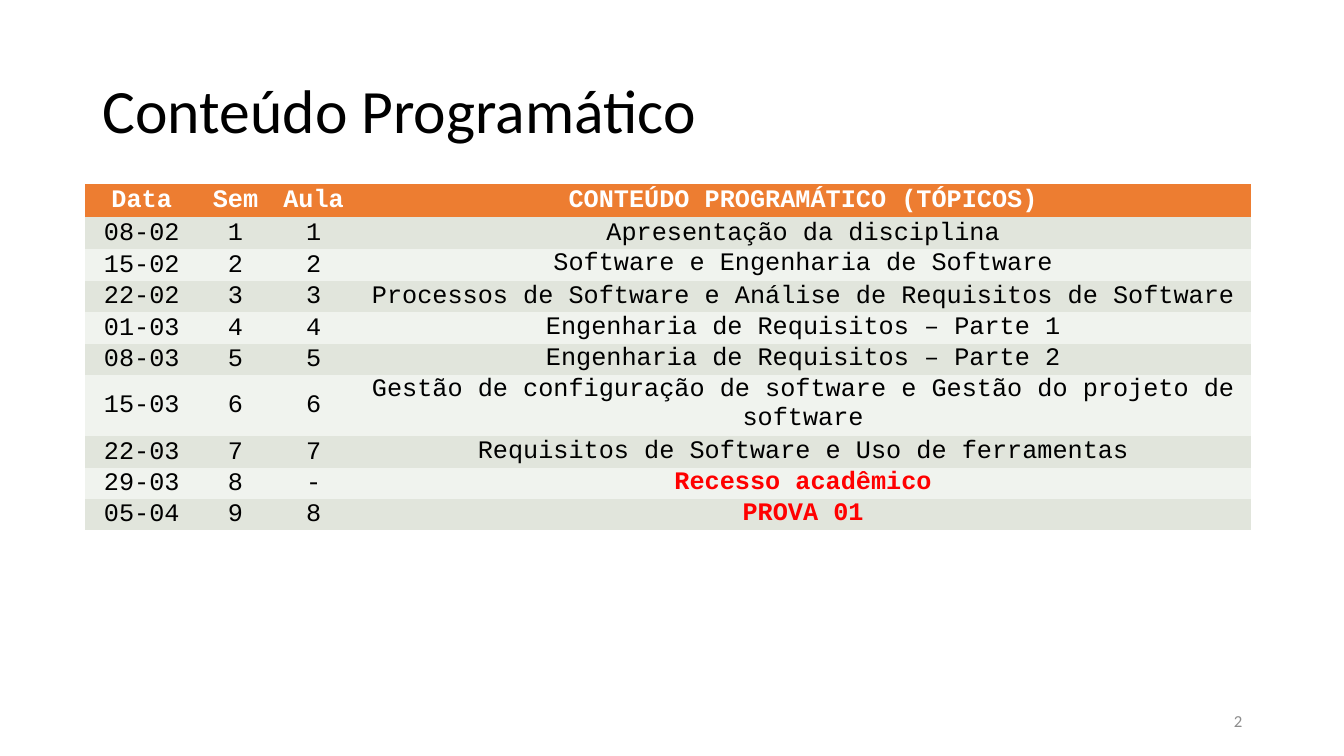
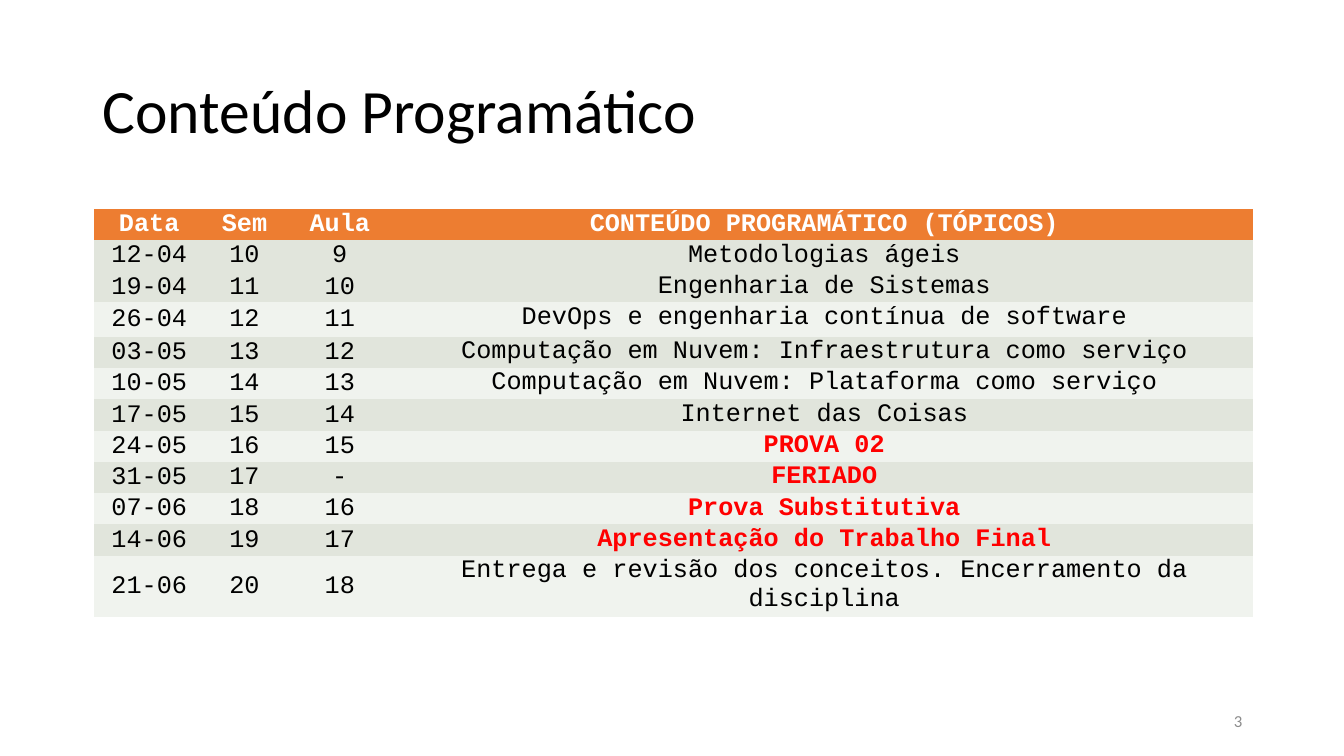
from pptx import Presentation
from pptx.dml.color import RGBColor
from pptx.enum.text import MSO_ANCHOR, PP_ALIGN
from pptx.oxml.ns import qn
from pptx.util import Inches, Pt

LEFT, CENTER, RIGHT = PP_ALIGN.LEFT, PP_ALIGN.CENTER, PP_ALIGN.RIGHT
TOP, MIDDLE = MSO_ANCHOR.TOP, MSO_ANCHOR.MIDDLE
BLACK = RGBColor(0x00, 0x00, 0x00)
WHITE = RGBColor(0xFF, 0xFF, 0xFF)
RED = RGBColor(0xFF, 0x00, 0x00)
GRAY = RGBColor(0x8C, 0x8C, 0x8C)
ORANGE = RGBColor(0xED, 0x7D, 0x31)
DARK_BAND = RGBColor(0xE1, 0xE5, 0xDC)
LIGHT_BAND = RGBColor(0xF0, 0xF3, 0xEE)
NO_GRID_STYLE = "{2D5ABB26-0587-4C30-8999-92F81FD0307C}"

TITLE = "Conteúdo Programático"
HEADER = ("Data", "Sem", "Aula", "CONTEÚDO PROGRAMÁTICO (TÓPICOS)")
HIGHLIGHTS = {
    "Recesso acadêmico",
    "PROVA 01",
    "PROVA 02",
    "FERIADO",
    "Prova Substitutiva",
    "Apresentação do Trabalho Final",
}
ROW_HEIGHT = 0.29
TWO_LINE_HEIGHT = 0.57

FIRST_HALF = [
    ("08-02", "1", "1", "Apresentação da disciplina"),
    ("15-02", "2", "2", "Software e Engenharia de Software"),
    ("22-02", "3", "3", "Processos de Software e Análise de Requisitos de Software"),
    ("01-03", "4", "4", "Engenharia de Requisitos – Parte 1"),
    ("08-03", "5", "5", "Engenharia de Requisitos – Parte 2"),
    ("15-03", "6", "6", "Gestão de configuração de software e Gestão do projeto de software"),
    ("22-03", "7", "7", "Requisitos de Software e Uso de ferramentas"),
    ("29-03", "8", "-", "Recesso acadêmico"),
    ("05-04", "9", "8", "PROVA 01"),
]
SECOND_HALF = [
    ("12-04", "10", "9", "Metodologias ágeis"),
    ("19-04", "11", "10", "Engenharia de Sistemas"),
    ("26-04", "12", "11", "DevOps e engenharia contínua de software"),
    ("03-05", "13", "12", "Computação em Nuvem: Infraestrutura como serviço"),
    ("10-05", "14", "13", "Computação em Nuvem: Plataforma como serviço"),
    ("17-05", "15", "14", "Internet das Coisas"),
    ("24-05", "16", "15", "PROVA 02"),
    ("31-05", "17", "-", "FERIADO"),
    ("07-06", "18", "16", "Prova Substitutiva"),
    ("14-06", "19", "17", "Apresentação do Trabalho Final"),
    ("21-06", "20", "18", "Entrega e revisão dos conceitos. Encerramento da disciplina"),
]


class Deck:
    text_font = "Calibri"
    table_font = "Courier New"

    def __init__(self):
        self.presentation = Presentation()
        self.presentation.slide_width = Inches(13.33)
        self.presentation.slide_height = Inches(7.5)
        self.slide = None

    def add_slide(self, title, number):
        self.slide = self.presentation.slides.add_slide(self.presentation.slide_layouts[6])
        heading = self.add_text(title, (0.92, 0.4, 11.5, 1.45), 44, BLACK, LEFT)
        heading.line_spacing = 0.9
        self.add_text(str(number), (9.42, 6.95, 3, 0.4), 12, GRAY, RIGHT)

    def format_text(self, text_frame, font_name, size, color, alignment, bold=False):
        paragraph = text_frame.paragraphs[0]
        paragraph.alignment = alignment
        font = paragraph.runs[0].font
        font.name = font_name
        font.size = Pt(size)
        font.bold = bold
        font.color.rgb = color
        return paragraph

    def add_text(self, text, box, size, color, alignment):
        text_frame = self.slide.shapes.add_textbox(*map(Inches, box)).text_frame
        text_frame.word_wrap = True
        text_frame.vertical_anchor = MIDDLE
        text_frame.text = text
        return self.format_text(text_frame, self.text_font, size, color, alignment)

    def add_cell(self, cell, text, fill, color, bold, anchor, side_margin):
        cell.fill.solid()
        cell.fill.fore_color.rgb = fill
        cell.vertical_anchor = anchor
        cell.margin_left = cell.margin_right = Inches(side_margin)
        cell.margin_top = Inches(0.01)
        cell.margin_bottom = 0
        cell.text_frame.text = text
        self.format_text(cell.text_frame, self.table_font, 18, color, CENTER, bold)

    def add_schedule(self, lessons, left, top, widths, heights, first_light, topic_margin):
        rows = [HEADER, *lessons]
        row_heights = [heights.get(index, ROW_HEIGHT) for index in range(len(rows))]
        frame = self.slide.shapes.add_table(
            len(rows), len(widths), Inches(left), Inches(top),
            Inches(sum(widths)), Inches(sum(row_heights)))
        table = frame.table
        table.horz_banding = False
        table._tbl.tblPr.find(qn("a:tableStyleId")).text = NO_GRID_STYLE
        for column, width in zip(table.columns, widths):
            column.width = Inches(width)
        for row_index, row in enumerate(rows):
            table.rows[row_index].height = Inches(row_heights[row_index])
            is_header = row_index == 0
            is_light = row_index >= first_light and (row_index - first_light) % 2 == 0
            fill = ORANGE if is_header else LIGHT_BAND if is_light else DARK_BAND
            for column_index, text in enumerate(row):
                highlighted = text in HIGHLIGHTS
                is_topic = column_index == 3 and row_index >= 2
                color = WHITE if is_header else RED if highlighted else BLACK
                self.add_cell(
                    table.cell(row_index, column_index), text, fill, color,
                    is_header or highlighted, TOP if is_topic else MIDDLE,
                    topic_margin if is_topic else 0.01)


deck = Deck()
deck.add_slide(TITLE, 2)
deck.add_schedule(
    FIRST_HALF, 0.84, 1.83, (1.13, 0.73, 0.82, 8.89),
    {0: 0.32, 1: 0.32, 2: 0.32, 6: TWO_LINE_HEIGHT}, first_light=2, topic_margin=0.07)
deck.add_slide(TITLE, 3)
deck.add_schedule(
    SECOND_HALF, 0.93, 2.07, (1.1, 0.79, 1.1, 8.51),
    {3: 0.34, 11: TWO_LINE_HEIGHT}, first_light=3, topic_margin=0.01)
deck.presentation.save("out.pptx")
